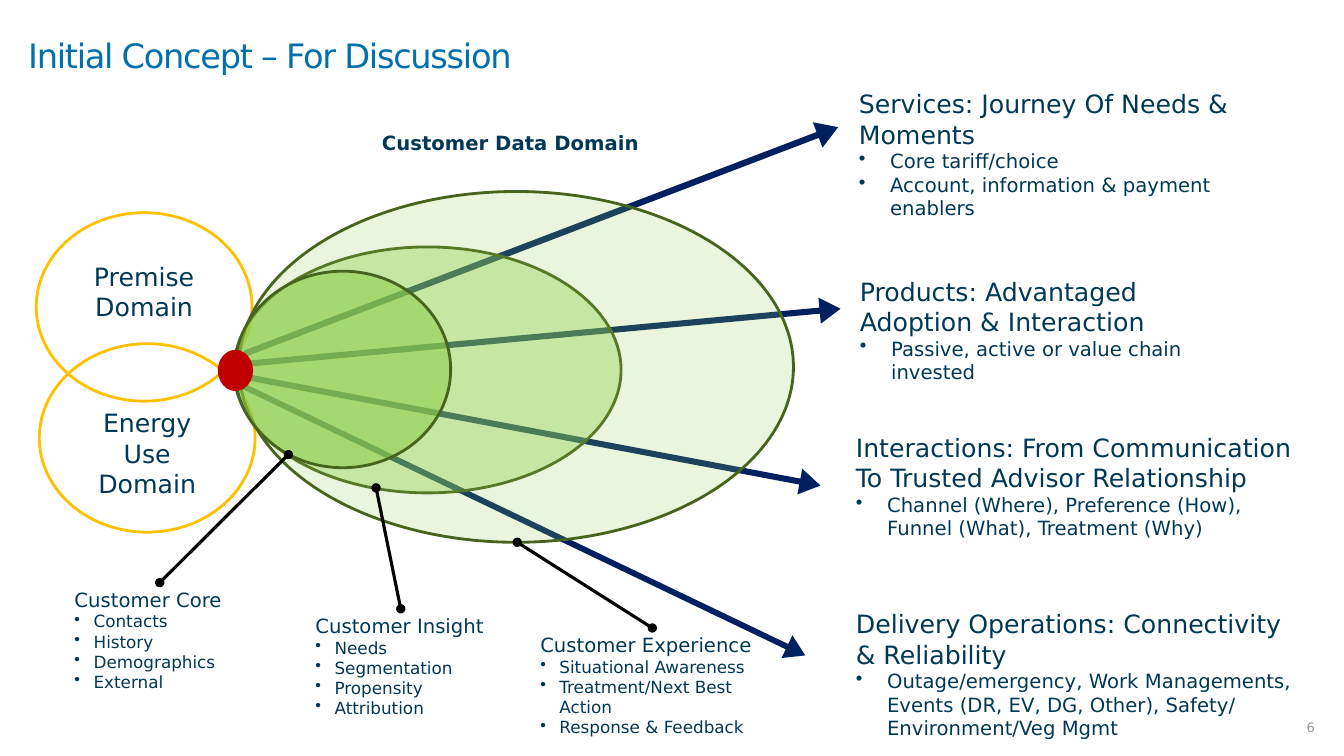
from dataclasses import dataclass
from typing import Optional

from lxml import etree
from pptx import Presentation, util as u
from pptx.dml.color import RGBColor
from pptx.enum import shapes as es, text as et
from pptx.oxml.ns import qn


@dataclass(frozen=True)
class Theme:
    font: str = "DejaVu Sans"
    title: str = "0070AD"
    body: str = "003856"
    number: str = "969696"
    arrow: str = "002060"
    domain: str = "FFC000"
    green: str = "92D050"
    green_line: str = "47641E"
    core: str = "C00000"
    leader: str = "000000"
    title_size: float = 24
    head_size: float = 18
    mid_size: float = 14
    small_size: float = 12
    number_size: float = 9.3
    outline: float = 2
    leader_width: float = 2.25


T = Theme()


@dataclass(frozen=True)
class Box:
    left: float
    top: float
    width: float
    height: float

    def emu(self) -> tuple:
        return tuple(u.Inches(v) for v in (self.left, self.top, self.width, self.height))


@dataclass(frozen=True)
class Arrow:
    box: Box
    angle: float


@dataclass(frozen=True)
class Oval:
    box: Box
    line: Optional[str] = None
    fill: Optional[str] = None
    alpha: int = 100
    lines: tuple = ()
    inset_top: float = 0.05
    inset_bottom: float = 0.05


@dataclass(frozen=True)
class Topic:
    box: Box
    head: str
    bullets: tuple
    target: Optional[tuple] = None  # leader end on its ellipse


ARROWS = [
    Arrow(Box(2.19, 4.13, 6, 0.26), 10.7),
    Arrow(Box(2.1, 5.04, 6.19, 0.25), 25.6),
    Arrow(Box(2.22, 2.25, 6.3, 0.27), 339.1),
    Arrow(Box(2.35, 3.21, 6, 0.26), 354.7),
]
OVALS = [
    Oval(Box(0.36, 2.11, 2.14, 1.87), T.domain, lines=("Premise", "Domain"), inset_bottom=0.35),
    Oval(Box(0.39, 3.41, 2.14, 1.87), T.domain, lines=("Energy Use", "Domain"), inset_top=0.35),
    Oval(Box(2.32, 2.45, 3.84, 2.44), T.green_line, T.green, 40),
    Oval(Box(2.37, 1.9, 5.5, 3.48), T.green_line, T.green, 20),
    Oval(Box(2.33, 2.69, 2.14, 1.95), T.green_line, T.green, 60),
    Oval(Box(2.16, 3.47, 0.35, 0.41), fill=T.core),
]
OUTCOMES = [
    Topic(Box(8.42, 0.83, 3.9, 1.41), "Services: Journey Of Needs & Moments",
          ("Core tariff/choice", "Account, information & payment enablers")),
    Topic(Box(8.43, 2.69, 3.9, 1.18), "Products: Advantaged Adoption & Interaction",
          ("Passive, active or value chain invested",)),
    Topic(Box(8.39, 4.24, 4.55, 1.48),
          "Interactions: From Communication To Trusted Advisor Relationship",
          ("Channel (Where), Preference (How), Funnel (What), Treatment (Why)",)),
    Topic(Box(8.39, 5.99, 4.55, 1.41), "Delivery Operations: Connectivity & Reliability",
          ("Outage/emergency, Work Managements, Events (DR, EV, DG, Other), "
           "Safety/ Environment/Veg Mgmt",)),
]
LAYERS = [
    Topic(Box(0.64, 5.78, 1.89, 1.14), "Customer Core",
          ("Contacts", "History", "Demographics", "External"), (2.86, 4.51)),
    Topic(Box(3.03, 6.04, 1.89, 1.14), "Customer Insight",
          ("Needs", "Segmentation", "Propensity", "Attribution"), (3.73, 4.84)),
    Topic(Box(5.26, 6.23, 2.42, 1.35), "Customer Experience",
          ("Situational Awareness", "Treatment/Next Best Action", "Response & Feedback"),
          (5.13, 5.38)),
]


def apply(target, values: dict) -> None:
    for name, value in values.items():
        setattr(target, name, value)


def add_run(p, text: str, size: float, color: str = T.body, bold: bool = False):
    r = p.add_run()
    r.text = text
    apply(r.font, {"name": T.font, "size": u.Pt(size), "bold": bold})
    r.font.color.rgb = RGBColor.from_string(color)
    return r


def add_bullet(p, indent: float) -> None:
    pPr = p._p.get_or_add_pPr()
    pPr.set("marL", str(u.Inches(indent)))
    pPr.set("indent", str(-u.Inches(indent)))
    etree.SubElement(pPr, qn("a:buChar")).set("char", "•")


def add_text(s, box: Box, **frame):
    sp = s.shapes.add_textbox(*box.emu())
    apply(sp.text_frame, {"word_wrap": True, **frame})
    return sp


def add_arrow(s, arrow: Arrow) -> None:
    sp = s.shapes.add_shape(es.MSO_SHAPE.RIGHT_ARROW, *arrow.box.emu())
    sp.adjustments[0], sp.adjustments[1] = 0.232, 0.802
    sp.rotation = arrow.angle
    sp.shadow.inherit = False
    sp.fill.solid()
    sp.fill.fore_color.rgb = RGBColor.from_string(T.arrow)
    sp.line.fill.background()


def add_oval(s, oval: Oval) -> None:
    sp = s.shapes.add_shape(es.MSO_SHAPE.OVAL, *oval.box.emu())
    sp.shadow.inherit = False
    if oval.fill:
        sp.fill.solid()
        sp.fill.fore_color.rgb = RGBColor.from_string(oval.fill)
        if oval.alpha < 100:
            color = sp.fill._xPr.find(qn("a:solidFill"))[0]
            etree.SubElement(color, qn("a:alpha")).set("val", str(oval.alpha * 1000))
    else:
        sp.fill.background()
    if oval.line:
        sp.line.color.rgb = RGBColor.from_string(oval.line)
        sp.line.width = u.Pt(T.outline)
    else:
        sp.line.fill.background()
    tf = sp.text_frame
    apply(tf, {"word_wrap": True, "vertical_anchor": et.MSO_ANCHOR.MIDDLE,
               "margin_top": u.Inches(oval.inset_top),
               "margin_bottom": u.Inches(oval.inset_bottom)})
    for i, line in enumerate(oval.lines):
        p = tf.add_paragraph() if i else tf.paragraphs[0]
        p.alignment = et.PP_ALIGN.CENTER
        add_run(p, line, T.head_size)


def add_topic(s, topic: Topic, head_size: float, bullet_size: float, indent: float):
    sp = add_text(s, topic.box, auto_size=et.MSO_AUTO_SIZE.SHAPE_TO_FIT_TEXT)
    tf = sp.text_frame
    add_run(tf.paragraphs[0], topic.head, head_size)
    for bullet in topic.bullets:
        p = tf.add_paragraph()
        add_bullet(p, indent)
        add_run(p, bullet, bullet_size)
    return sp


def add_leader(s, sp, target: tuple) -> None:
    x, y = (u.Inches(v) for v in target)
    line = s.shapes.add_connector(es.MSO_CONNECTOR.STRAIGHT, sp.left, sp.top, x, y)
    line.begin_connect(sp, 0)
    line.line.color.rgb = RGBColor.from_string(T.leader)
    line.line.width = u.Pt(T.leader_width)
    for end in ("a:headEnd", "a:tailEnd"):
        etree.SubElement(line.line._ln, qn(end)).set("type", "oval")
    etree.SubElement(line._element.spPr, qn("a:effectLst"))


def main() -> None:
    prs = Presentation()
    prs.slide_width, prs.slide_height = u.Inches(13.33), u.Inches(7.5)
    s = prs.slides.add_slide(prs.slide_layouts[6])

    # Slide number
    p = add_text(s, Box(12.67, 7.05, 0.66, 0.35),
                 vertical_anchor=et.MSO_ANCHOR.MIDDLE).text_frame.paragraphs[0]
    apply(p, {"alignment": et.PP_ALIGN.CENTER, "line_spacing": 0.85})
    add_run(p, "6", T.number_size, T.number)

    # Arrows behind the ellipses
    for arrow in ARROWS:
        add_arrow(s, arrow)

    # Title
    p = add_text(s, Box(0, 0, 13.33, 1.16), vertical_anchor=et.MSO_ANCHOR.MIDDLE,
                 margin_left=u.Inches(0.28), margin_right=u.Inches(0.15),
                 margin_top=u.Inches(0.03),
                 margin_bottom=u.Inches(0.03)).text_frame.paragraphs[0]
    p.line_spacing = 0.85
    r = add_run(p, "Initial Concept – For Discussion", T.title_size, T.title)
    r._r.get_or_add_rPr().set("spc", "-90")

    # Domains and customer layers
    for oval in OVALS:
        add_oval(s, oval)

    # Outcomes on the right, layer notes with leaders below
    for topic in OUTCOMES:
        add_topic(s, topic, T.head_size, T.mid_size, 0.31)
    for topic in LAYERS:
        sp = add_topic(s, topic, T.mid_size, T.small_size, 0.19)
        add_leader(s, sp, topic.target)

    # Heading over the ellipses
    sp = add_text(s, Box(3.69, 1.25, 2.75, 0.34), word_wrap=False,
                  auto_size=et.MSO_AUTO_SIZE.SHAPE_TO_FIT_TEXT)
    add_run(sp.text_frame.paragraphs[0], "Customer Data Domain", T.mid_size, bold=True)

    prs.save("out.pptx")


if __name__ == "__main__":
    main()
